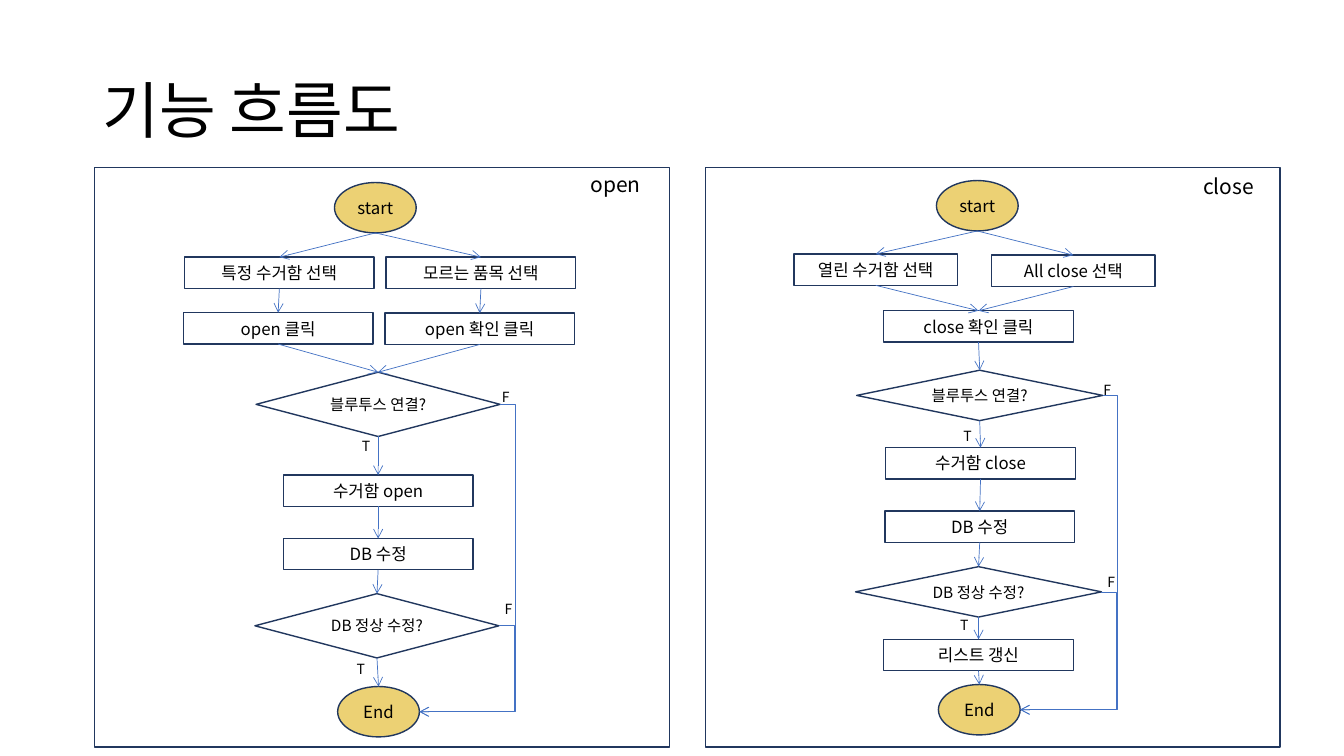
from lxml.etree import SubElement
from pptx import Presentation
from pptx.dml.color import RGBColor
from pptx.enum.shapes import MSO_CONNECTOR, MSO_SHAPE
from pptx.enum.text import MSO_ANCHOR, PP_ALIGN
from pptx.oxml.ns import qn
from pptx.util import Cm, Pt

FONT = "Noto Sans CJK KR"
COLORS = {"text": "000000", "outline": "21375E", "arrow": "4472C4", "terminal": "ECD174"}
NODE_FRAME = {"word_wrap": True, "vertical_anchor": MSO_ANCHOR.MIDDLE, "margin_left": 0,
              "margin_right": 0, "margin_top": 0, "margin_bottom": 0}
TITLE_FRAME = {"word_wrap": True, "vertical_anchor": MSO_ANCHOR.MIDDLE}
LABEL_FRAME = {"word_wrap": True}
TOP, BOTTOM = 0, 2
DETOUR = 0.38  # how far a failure branch runs to the right of its decision

# kind: preset shape, width, height, text size
KINDS = {
    "terminal": (MSO_SHAPE.OVAL, 2.06, 1.27, 12),
    "step": (MSO_SHAPE.RECTANGLE, 4.78, 0.79, 12),
    "choice": (MSO_SHAPE.RECTANGLE, 4.11, 0.79, 12),
    "decision": (MSO_SHAPE.DIAMOND, 6.15, 1.62, 11),
    "flat decision": (MSO_SHAPE.DIAMOND, 6.2, 1.27, 11),
}

# nodes: kind, text, centre x, top; all places are relative to the panel
OPEN_FLOW = {
    "heading": ("open", 12.24, -0.03),
    "nodes": {
        "start": ("terminal", "start", 7.07, 0.38),
        "known": ("step", "특정 수거함 선택", 4.65, 2.26),
        "unknown": ("step", "모르는 품목 선택", 9.73, 2.26),
        "click": ("step", "open 클릭", 4.62, 3.66),
        "confirm": ("step", "open 확인 클릭", 9.7, 3.67),
        "bluetooth": ("decision", "블루투스 연결?", 7.14, 5.16),
        "bin": ("step", "수거함 open", 7.14, 7.75),
        "update": ("step", "DB 수정", 7.14, 9.35),
        "check": ("decision", "DB 정상 수정?", 7.11, 10.74),
        "end": ("terminal", "End", 7.15, 13.08),
    },
    "paths": ["start known click bluetooth bin update check end",
              "start unknown confirm bluetooth"],
    "labels": [("T", 6.48, 6.68), ("T", 6.35, 12.29), ("F", 10.01, 5.44), ("F", 10.08, 10.8)],
}
CLOSE_FLOW = {
    "heading": ("close", 12.29, 0.03),
    "nodes": {
        "start": ("terminal", "start", 6.85, 0.33),
        "opened": ("choice", "열린 수거함 선택", 4.29, 2.18),
        "all": ("choice", "All close 선택", 9.27, 2.21),
        "confirm": ("step", "close 확인 클릭", 6.88, 3.61),
        "bluetooth": ("flat decision", "블루투스 연결?", 6.91, 5.11),
        "bin": ("step", "수거함 close", 6.93, 7.06),
        "update": ("step", "DB 수정", 6.91, 8.66),
        "check": ("flat decision", "DB 정상 수정?", 6.88, 10.06),
        "refresh": ("step", "리스트 갱신", 6.88, 11.89),
        "end": ("terminal", "End", 6.9, 13.03),
    },
    "paths": ["start opened confirm bluetooth bin update check refresh end",
              "start all confirm"],
    "labels": [("T", 6.25, 6.43), ("T", 6.17, 11.18), ("F", 9.78, 5.26), ("F", 9.88, 10.11)],
}


def color(name):
    return RGBColor.from_string(COLORS[name])


def write(shape, text, size, frame_format, align=PP_ALIGN.LEFT, line_spacing=1.0):
    frame = shape.text_frame
    for attribute, value in frame_format.items():
        setattr(frame, attribute, value)
    paragraph = frame.paragraphs[0]
    paragraph.alignment = align
    paragraph.line_spacing = line_spacing
    run = paragraph.add_run()
    run.text = text
    for attribute, value in {"name": FONT, "size": Pt(size)}.items():
        setattr(run.font, attribute, value)
    run.font.color.rgb = color("text")
    SubElement(run.font._element, qn("a:ea"), typeface=FONT)


def add_text(slide, box, text, size, frame_format, **paragraph_format):
    caption = slide.shapes.add_textbox(*(Cm(length) for length in box))
    write(caption, text, size, frame_format, **paragraph_format)


def add_outlined(slide, preset, box, fill=None):
    shape = slide.shapes.add_shape(preset, *(Cm(length) for length in box))
    shape.shadow.inherit = False
    if fill:
        shape.fill.solid()
        shape.fill.fore_color.rgb = color(fill)
    else:
        shape.fill.background()
    shape.line.color.rgb = color("outline")
    shape.line.width = Pt(1)
    return shape


def add_node(slide, left, top, kind, text, center, offset):
    preset, width, height, size = KINDS[kind]
    box = (left + center - width / 2, top + offset, width, height)
    fill = "terminal" if kind == "terminal" else None
    node = add_outlined(slide, preset, box, fill)
    write(node, text, size, NODE_FRAME, PP_ALIGN.CENTER)
    return node


def add_arrow(slide, route, start, finish):
    arrow = slide.shapes.add_connector(route, *start, *finish)
    arrow.line.color.rgb = color("arrow")
    arrow.line.width = Pt(0.5)
    SubElement(arrow.line._get_or_add_ln(), qn("a:tailEnd"), type="arrow")
    SubElement(arrow._element.spPr, qn("a:effectLst"))
    return arrow


def add_step_arrow(slide, source, target):
    """Lead from the bottom of one node to the top of the next."""
    start = (source.left + source.width // 2, source.top + source.height)
    finish = (target.left + target.width // 2, target.top)
    arrow = add_arrow(slide, MSO_CONNECTOR.STRAIGHT, start, finish)
    if source.auto_shape_type != MSO_SHAPE.OVAL:
        arrow.begin_connect(source, BOTTOM)
    arrow.end_connect(target, TOP)


def add_failure_arrow(slide, decision, end):
    """Lead from the right of a decision, around the steps, to the right of End."""
    start, finish = ((node.left + node.width, node.top + node.height // 2)
                     for node in (decision, end))
    arrow = add_arrow(slide, MSO_CONNECTOR.ELBOW, start, finish)
    bend = -round(100000 * Cm(DETOUR) / arrow.width)
    adjustments = arrow._element.spPr.find(qn("a:prstGeom")).find(qn("a:avLst"))
    SubElement(adjustments, qn("a:gd"), name="adj1", fmla=f"val {bend}")


def add_flow(slide, box, flow):
    left, top = box[:2]
    add_outlined(slide, MSO_SHAPE.RECTANGLE, box)
    heading, x, y = flow["heading"]
    add_text(slide, (left + x, top + y, 2.67, 0.9), heading, 15, LABEL_FRAME)
    nodes = {key: add_node(slide, left, top, *node) for key, node in flow["nodes"].items()}
    for path in flow["paths"]:
        steps = path.split()
        for source, target in zip(steps, steps[1:]):
            add_step_arrow(slide, nodes[source], nodes[target])
    for decision in ("bluetooth", "check"):
        add_failure_arrow(slide, nodes[decision], nodes["end"])
    for outcome, x, y in flow["labels"]:
        add_text(slide, (left + x, top + y, 0.9, 0.66), outcome, 10, LABEL_FRAME)


def main():
    presentation = Presentation()
    presentation.slide_width, presentation.slide_height = Cm(33.87), Cm(19.05)
    slide = presentation.slides.add_slide(presentation.slide_layouts[6])
    add_text(slide, (2.34, 1.02, 29.21, 3.68), "기능 흐름도", 44, TITLE_FRAME, line_spacing=0.9)
    for left, flow in ((2.39, OPEN_FLOW), (17.78, CLOSE_FLOW)):
        add_flow(slide, (left, 4.22, 14.48, 14.61), flow)
    presentation.save("out.pptx")


if __name__ == "__main__":
    main()
